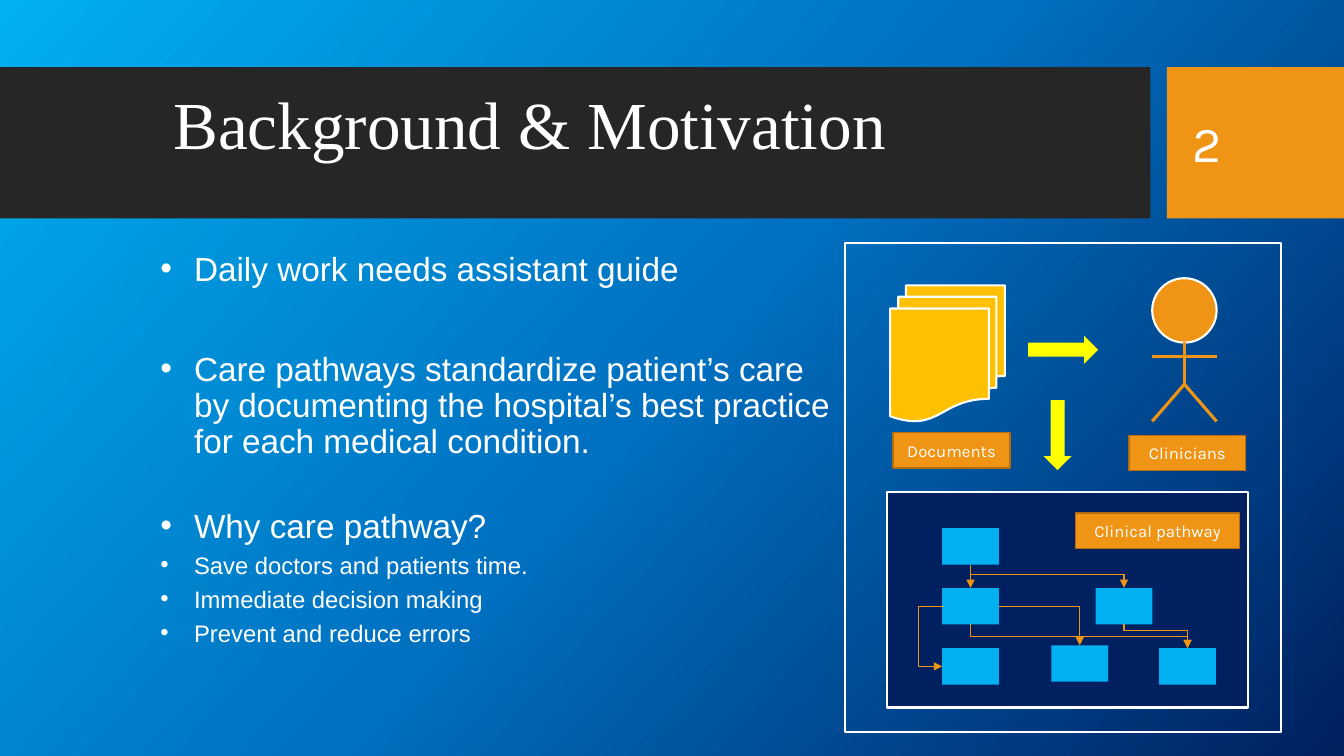
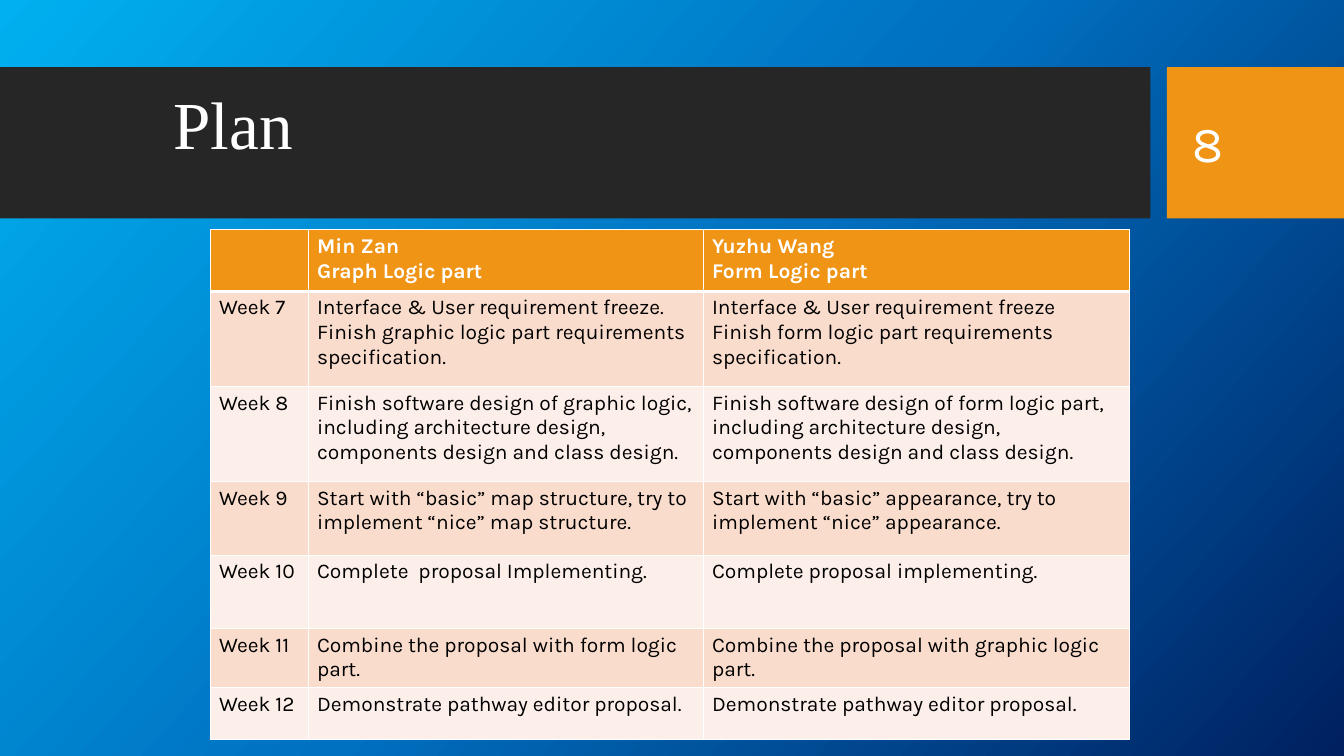
from lxml.etree import SubElement
from pptx import Presentation
from pptx.dml.color import RGBColor
from pptx.enum.shapes import MSO_CONNECTOR as LINK, MSO_SHAPE as SHAPE
from pptx.enum.text import MSO_ANCHOR as ANCHOR, MSO_AUTO_SIZE as FIT, PP_ALIGN as ALIGN
from pptx.oxml.ns import qn
from pptx.util import Pt

# ---- Content ----
MOTIVATION = [  # text, size, line height, space before
    ("Daily work needs assistant guide", 23.8, 25.7, 0),
    ("Care pathways standardize patient’s care by documenting the hospital’s best "
     "practice for each medical condition.", 23.8, 25.7, 45.7),
    ("Why care pathway?", 23.8, 25.7, 35),
    ("Save doctors and patients time.", 17, 24.3, 0),
    ("Immediate decision making", 17, 24.3, 0),
    ("Prevent and reduce errors", 17, 24.3, 0),
]
LABELS = [  # text, left, top, width
    ("Clinicians", 806.4, 311, 83.5),
    ("Documents", 638, 309, 83.5),
    ("Clinical pathway", 768.2, 366.5, 117.4),
]
STEPS = {  # left, top
    "entry": (673, 377.3),
    "left": (673, 420),
    "right": (782.6, 420),
    "left end": (673, 463),
    "middle end": (751, 461),
    "right end": (828, 463),
}
STEP_WIDTH, STEP_HEIGHT = 40.6, 26
PLAN = [
    ("", "Min Zan\nGraph Logic part", "Yuzhu Wang\nForm Logic part"),
    ("Week 7",
     "Interface & User requirement freeze. Finish graphic logic part requirements specification.",
     "Interface & User requirement freeze\nFinish form logic part requirements specification."),
    ("Week 8",
     "Finish software design of graphic logic, including architecture design, "
     "components design and class design.",
     "Finish software design of form logic part, including architecture design, "
     "components design and class design."),
    ("Week 9",
     "Start with “basic” map structure, try to implement “nice” map structure.",
     "Start with “basic” appearance, try to implement “nice” appearance."),
    ("Week 10", "Complete  proposal Implementing.", "Complete proposal implementing."),
    ("Week 11", "Combine the proposal with form logic part.",
     "Combine the proposal with graphic logic part."),
    ("Week 12", "Demonstrate pathway editor proposal.", "Demonstrate pathway editor proposal."),
]
COLUMN_WIDTHS = (70, 282.2, 304.4)
ROW_HEIGHTS = (44, 68, 68, 52.5, 52.5, 41.5, 37)

# ---- Shared style ----
WHITE, BLACK, CHARCOAL = "FFFFFF", "000000", "262626"
ORANGE, RUST, AMBER, YELLOW = "F09415", "B26D10", "FFC000", "FFFF00"
SKY, BLUE, NAVY = "00B0F0", "0070C0", "002060"
PEACH, CREAM = "F9DCCC", "FCEEE8"
TITLE_FONT, BODY_FONT, LABEL_FONT = "Times New Roman", "Arial", "Karla"


def color(value):
    return RGBColor.from_string(value)


def style(para, font, size, ink=WHITE, bold=False):
    para.font.name, para.font.size, para.font.bold = font, Pt(size), bold
    para.font.color.rgb = color(ink)


def place(box, left, top, width, height):
    box.left, box.top, box.width, box.height = Pt(left), Pt(top), Pt(width), Pt(height)


def add_box(shapes, kind, left, top, width, height, fill=None, line=None, weight=1.5):
    box = shapes.add_shape(kind, Pt(left), Pt(top), Pt(width), Pt(height))
    box.shadow.inherit = False
    if fill:
        box.fill.solid()
        box.fill.fore_color.rgb = color(fill)
    else:
        box.fill.background()
    if line:
        box.line.color.rgb = color(line)
        box.line.width = Pt(weight)
    else:
        box.line.fill.background()
    return box


def add_line(shapes, start, end, weight=0.75, kind=LINK.STRAIGHT, arrow=False):
    line = shapes.add_connector(kind, *(Pt(value) for value in (*start, *end)))
    line.line.color.rgb = color(ORANGE)
    line.line.width = Pt(weight)
    properties = line.element.spPr
    if arrow:
        SubElement(properties.find(qn("a:ln")), qn("a:tailEnd"), type="triangle")
    SubElement(properties, qn("a:effectLst"))
    return line


def add_elbow(shapes, start, end, turn, bend=0.5):
    """Turn is 'corner' (one bend), 'side' (leaves sideways) or 'down' (leaves downward)."""
    (x1, y1), (x2, y2) = start, end
    if turn == "down":  # a sideways elbow, turned a quarter about its centre
        cx, cy, half_w, half_h = (x1 + x2) / 2, (y1 + y2) / 2, (y2 - y1) / 2, (x2 - x1) / 2
        start, end = (cx + half_w, cy - half_h), (cx - half_w, cy + half_h)
    link = add_line(shapes, start, end, kind=LINK.ELBOW, arrow=True)
    properties = link.element.spPr
    if turn == "down":
        properties.find(qn("a:xfrm")).set("rot", "16200000")
    outline = properties.find(qn("a:prstGeom"))
    if turn == "corner":
        outline.set("prst", "bentConnector2")
    else:
        SubElement(outline.find(qn("a:avLst")), qn("a:gd"),
                   name="adj1", fmla=f"val {round(bend * 100000)}")


def dress_master(master, page):
    # Background gradient
    fill = master.background.fill
    fill.gradient()
    fill.gradient_angle = 360 - 42
    stops = master.element.find(".//" + qn("a:gsLst"))
    for stop in list(stops):
        stops.remove(stop)
    for position, shade in ((0, SKY), (50, BLUE), (100, NAVY)):
        stop = SubElement(stops, qn("a:gs"), pos=str(position * 1000))
        SubElement(stop, qn("a:srgbClr"), val=shade)
    # Title band and number band, moved to the master
    tree = master.element.find(".//" + qn("p:spTree"))
    bands = ((0, 821.7, CHARCOAL), (833.5, 126.5, ORANGE))
    for index, (left, width, shade) in enumerate(bands):
        band = add_box(page.shapes, SHAPE.RECTANGLE, left, 48, width, 108, shade).element
        band.nvSpPr.cNvPr.set("id", str(20 + index))
        tree.insert(2 + index, band)


def add_page(layout, title, number):
    page = deck.slides.add_slide(deck.slide_layouts[layout])
    heading = page.shapes.title
    place(heading, 116.6, 54, 789, 74)
    frame = heading.text_frame
    frame.text, frame.vertical_anchor, frame.auto_size = title, ANCHOR.MIDDLE, FIT.NONE
    para = frame.paragraphs[0]
    para.alignment, para.line_spacing = ALIGN.LEFT, 0.9
    style(para, TITLE_FONT, 48)

    box = page.shapes.add_textbox(Pt(844.6), Pt(59), Pt(90.7), Pt(85.7))
    frame = box.text_frame
    frame.text, frame.vertical_anchor, frame.word_wrap = str(number), ANCHOR.MIDDLE, True
    style(frame.paragraphs[0], LABEL_FONT, 36)
    return page


def fill_body(body):
    place(body, 114.6, 180, 478, 300)
    frame = body.text_frame
    frame.auto_size, frame.vertical_anchor = FIT.NONE, ANCHOR.TOP
    frame.margin_left = frame.margin_right = frame.margin_top = frame.margin_bottom = 0
    frame.text = "\n".join(item[0] for item in MOTIVATION)
    for para, (_, size, height, before) in zip(frame.paragraphs, MOTIVATION):
        style(para, BODY_FONT, size)
        para.line_spacing, para.space_before = Pt(height), Pt(before)
        layout = para._p.get_or_add_pPr()
        layout.set("marL", str(Pt(24)))
        layout.set("indent", str(Pt(-24)))
        SubElement(layout, qn("a:buChar"), char="•")
        layout.append(layout.find(qn("a:defRPr")))


def draw_person(shapes):
    person = shapes.add_group_shape().shapes
    left, middle, right = 823, 846, 869
    add_box(person, SHAPE.OVAL, left, 198.7, 46, 46, ORANGE, WHITE)
    neck, arms, hip, feet = 244, 254.9, 274.5, 301
    for start, end in (((left, arms), (right, arms)), ((middle, neck), (middle, hip)),
                       ((middle, hip), (left, feet)), ((middle, hip), (right, feet))):
        add_line(person, start, end, 2.25)


def side(step, across, down):
    left, top = STEPS[step]
    return left + across * STEP_WIDTH, top + down * STEP_HEIGHT


def draw_pathway(shapes):
    add_box(shapes, SHAPE.RECTANGLE, 633.6, 351.4, 257.8, 154, NAVY, WHITE)
    for left, top in STEPS.values():
        add_box(shapes, SHAPE.RECTANGLE, left, top, STEP_WIDTH, STEP_HEIGHT, SKY)
    top_of = {step: side(step, 0.5, 0) for step in STEPS}
    foot_of = {step: side(step, 0.5, 1) for step in STEPS}
    x, y = foot_of["entry"]
    add_line(shapes, (x, y), top_of["left"], arrow=True)
    add_elbow(shapes, (x, y + 7), top_of["right"], "corner")
    add_elbow(shapes, foot_of["left"], top_of["right end"], "down")
    add_elbow(shapes, foot_of["right"], top_of["right end"], "down", 0.27)
    add_elbow(shapes, side("left", 1, 0.5), top_of["middle end"], "corner")
    x, y = side("left", 0, 0.5)
    add_elbow(shapes, (x + 1, y), side("left end", 0, 0.5), "side", 18)


def add_border(cell, edge, weight):
    border = SubElement(cell._tc.get_or_add_tcPr(), qn("a:" + edge), w=str(Pt(weight)))
    SubElement(SubElement(border, qn("a:solidFill")), qn("a:srgbClr"), val=WHITE)


def add_plan(shapes):
    table = shapes.add_table(len(PLAN), len(COLUMN_WIDTHS), Pt(150.5), Pt(164.2),
                             Pt(sum(COLUMN_WIDTHS)), Pt(sum(ROW_HEIGHTS))).table
    for column, width in zip(table.columns, COLUMN_WIDTHS):
        column.width = Pt(width)
    for index, (row, height, texts) in enumerate(zip(table.rows, ROW_HEIGHTS, PLAN)):
        row.height = Pt(height)
        header = index == 0
        shade = ORANGE if header else PEACH if index % 2 else CREAM
        for cell, text in zip(row.cells, texts):
            for edge in ("lnL", "lnR", "lnT", "lnB"):
                thick = (header and edge == "lnB") or (index == 1 and edge == "lnT")
                add_border(cell, edge, 3 if thick else 1)
            cell.fill.solid()
            cell.fill.fore_color.rgb = color(shade)
            cell.margin_left = cell.margin_right = Pt(6)
            cell.margin_top = cell.margin_bottom = Pt(3)
            cell.text = text
            for para in cell.text_frame.paragraphs:
                style(para, LABEL_FONT, 15, WHITE if header else BLACK, header)


# ---- Deck ----
deck = Presentation()
deck.slide_width, deck.slide_height = Pt(960), Pt(540)

# Background and motivation
page = add_page(1, "Background & Motivation", 2)
dress_master(deck.slide_master, page)
fill_body(page.placeholders[1])
shapes = page.shapes
add_box(shapes, SHAPE.RECTANGLE, 603.4, 173.5, 311.8, 349.2, None, WHITE)
add_box(shapes, SHAPE.FLOWCHART_MULTIDOCUMENT, 635.8, 203.8, 82, 97.2, AMBER, WHITE)
draw_person(shapes)
add_box(shapes, SHAPE.RIGHT_ARROW, 734.4, 239.8, 50, 20, YELLOW)
add_box(shapes, SHAPE.RIGHT_ARROW, 730.4, 300.8, 50, 20, YELLOW).rotation = 90
draw_pathway(shapes)
for text, left, top, width in LABELS:
    label = add_box(shapes, SHAPE.RECTANGLE, left, top, width, 25.3, ORANGE, RUST, 1)
    label.text_frame.text = text
    label.text_frame.vertical_anchor = ANCHOR.MIDDLE
    para = label.text_frame.paragraphs[0]
    para.alignment = ALIGN.CENTER
    style(para, LABEL_FONT, 12)

# Plan
page = add_page(5, "Plan", 8)
add_plan(page.shapes)

deck.save("out.pptx")
